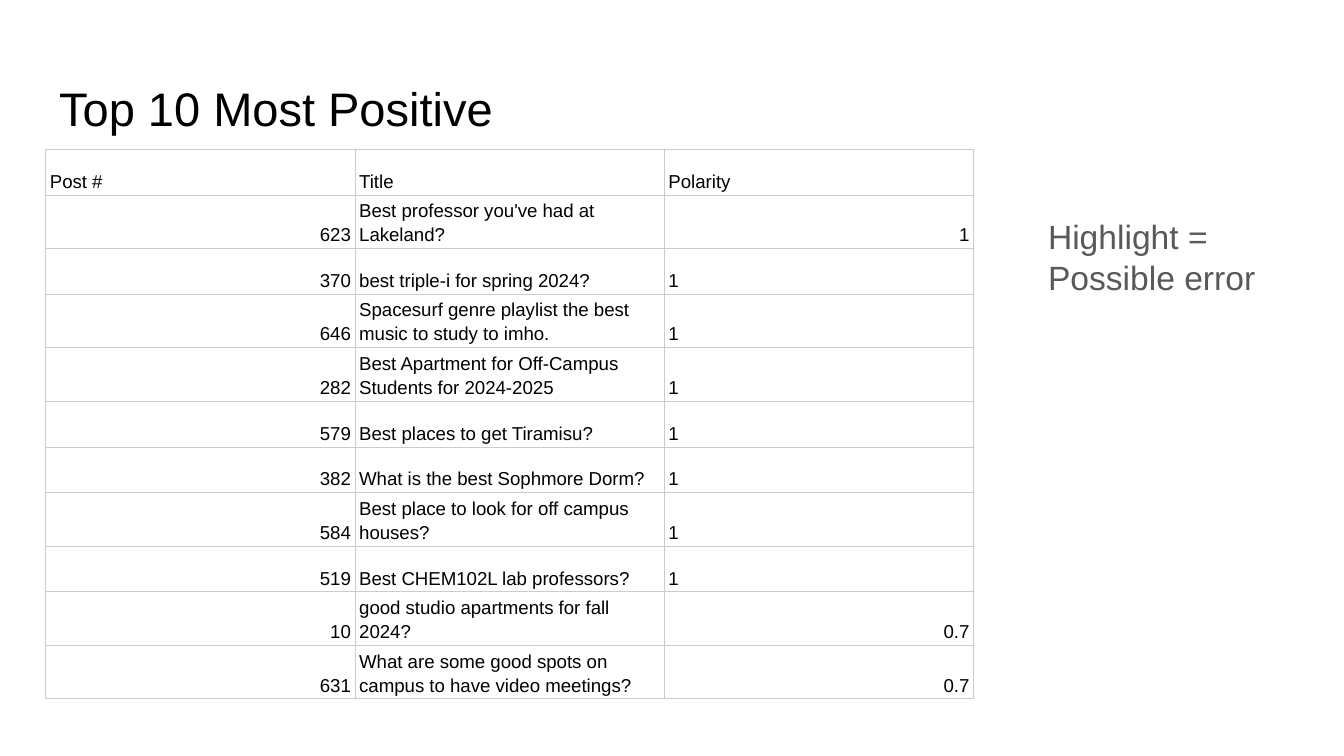
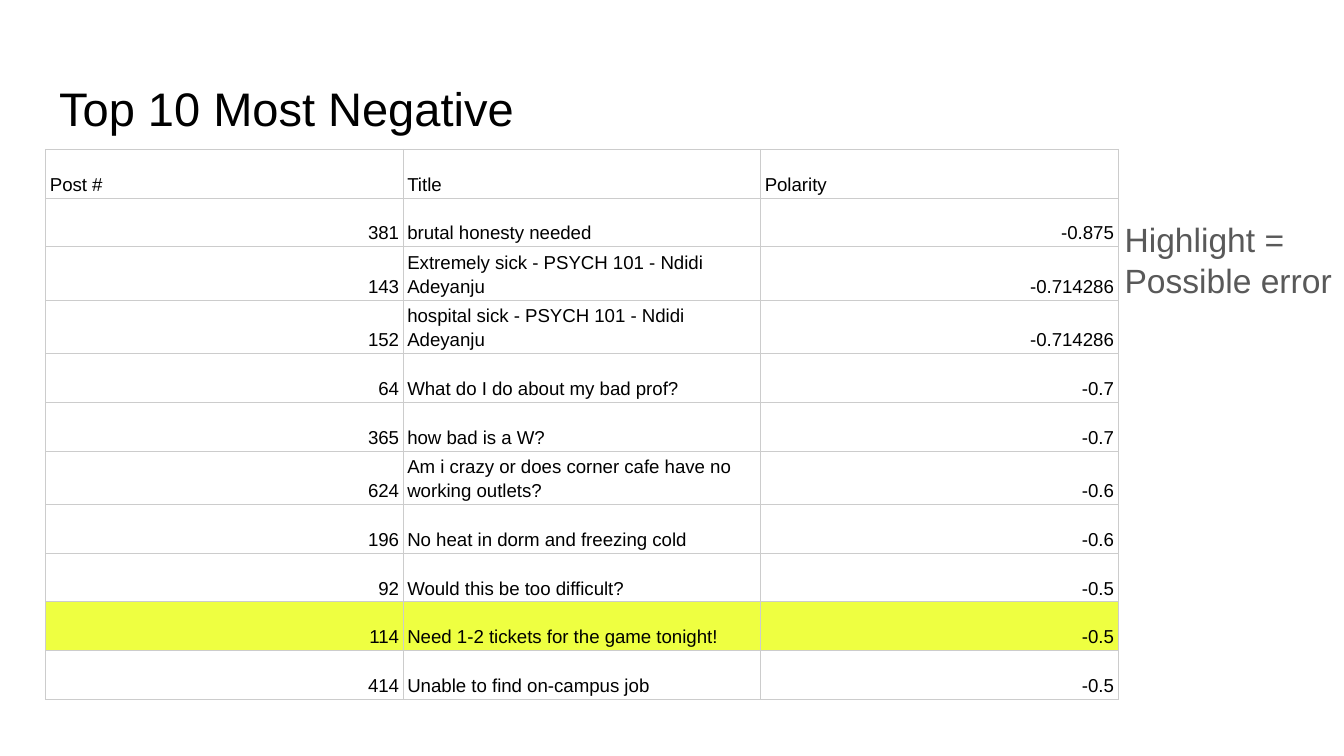
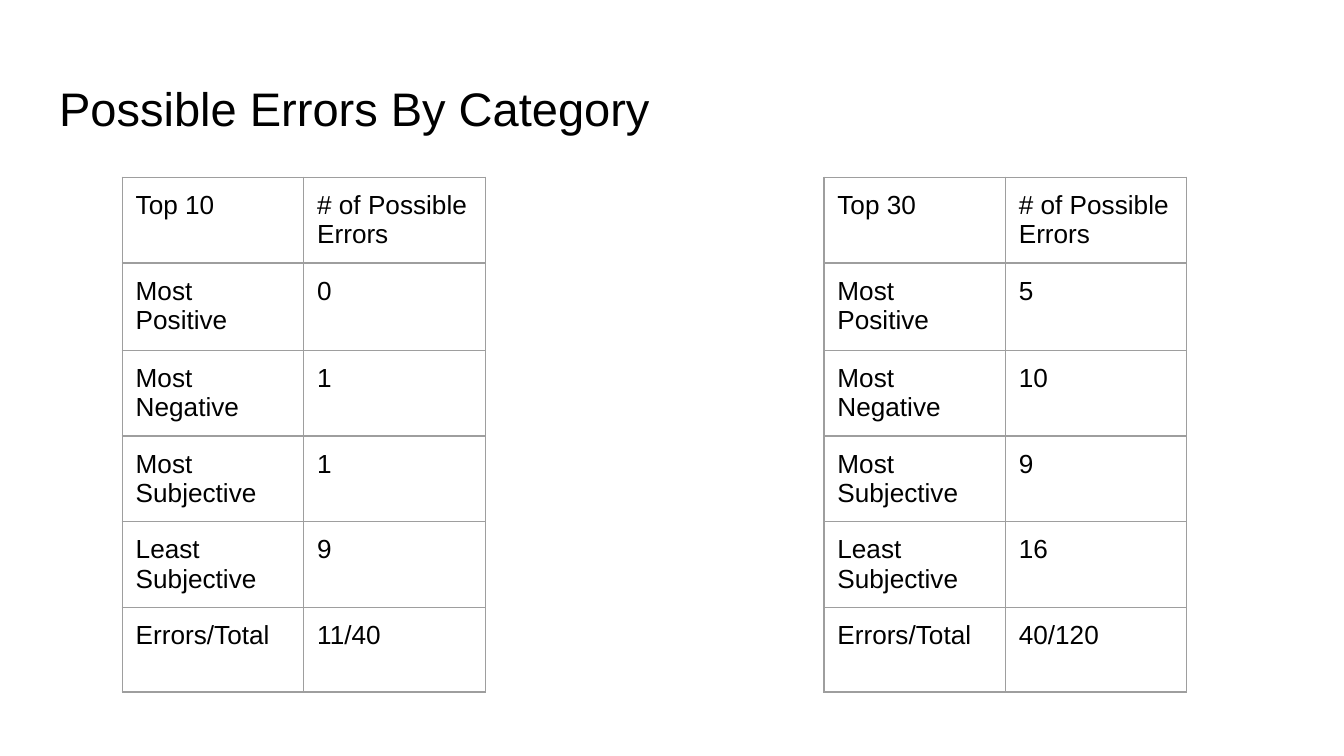
"""Build three slides of post polarity tables and error counts."""
from lxml.etree import SubElement
from pptx import Presentation
from pptx.dml.color import RGBColor
from pptx.enum.text import MSO_ANCHOR, MSO_AUTO_SIZE, PP_ALIGN
from pptx.oxml.ns import qn
from pptx.util import Pt

HUES = {"ink": "000000", "note": "595959", "pale": "CCCCCC",
        "gray": "9E9E9E", "mark": "EEFF41", "white": "FFFFFF"}
FONT = "Arial"
HEAD = ("Post #", "Title", "Polarity")


def write(frame, text, size=14, hue="ink", right=False, lead=None):
    para = frame.paragraphs[0]
    para.alignment = PP_ALIGN.RIGHT if right else PP_ALIGN.LEFT
    if lead:
        para.line_spacing = lead
    run = para.add_run()
    run.text = text
    run.font.name = FONT
    run.font.size = Pt(size)
    run.font.color.rgb = RGBColor.from_string(HUES[hue])


def grid(slide, rows, left, top, wide, highs, hue, line, pads):
    count = len(rows[0])
    table = slide.shapes.add_table(len(rows), count, Pt(left), Pt(top),
                                   Pt(wide * count), Pt(sum(highs))).table
    table.first_row = table.horz_banding = False
    for col in table.columns:
        col.width = Pt(wide)
    for row, high in zip(table.rows, highs):
        row.height = Pt(high)
    for cell in table.iter_cells():
        cell.margin_left = cell.margin_right = Pt(pads[0])
        cell.margin_top = cell.margin_bottom = Pt(pads[1])
        props = cell._tc.get_or_add_tcPr()
        for side in ("lnL", "lnR", "lnT", "lnB"):
            edge = SubElement(props, qn("a:" + side), w=str(int(Pt(line))))
            fill = SubElement(edge, qn("a:solidFill"))
            SubElement(fill, qn("a:srgbClr"), val=HUES[hue])
        cell.fill.background()
    return table


best = [
    ("623", "Best professor you've had at Lakeland?", "1"),
    ("370", "best triple-i for spring 2024?", "1"),
    ("646", "Spacesurf genre playlist the best music to study to imho.", "1"),
    ("282", "Best Apartment for Off-Campus Students for 2024-2025", "1"),
    ("579", "Best places to get Tiramisu?", "1"),
    ("382", "What is the best Sophmore Dorm?", "1"),
    ("584", "Best place to look for off campus houses?", "1"),
    ("519", "Best CHEM102L lab professors?", "1"),
    ("10", "good studio apartments for fall 2024?", "0.7"),
    ("631", "What are some good spots on campus to have video meetings?", "0.7"),
]
worst = [
    ("381", "brutal honesty needed", "-0.875"),
    ("143", "Extremely sick - PSYCH 101 - Ndidi Adeyanju", "-0.714286"),
    ("152", "hospital sick - PSYCH 101 - Ndidi Adeyanju", "-0.714286"),
    ("64", "What do I do about my bad prof?", "-0.7"),
    ("365", "how bad is a W?", "-0.7"),
    ("624", "Am i crazy or does corner cafe have no working outlets?", "-0.6"),
    ("196", "No heat in dorm and freezing cold", "-0.6"),
    ("92", "Would this be too difficult?", "-0.5"),
    ("114", "Need 1-2 tickets for the game tonight!", "-0.5"),
    ("414", "Unable to find on-campus job", "-0.5"),
]
kinds = ("Most Positive", "Most Negative", "Most Subjective",
         "Least Subjective", "Errors/Total")
counts = [("Top 10", 65.5, ("0", "1", "1", "9", "11/40")),
          ("Top 30", 441.4, ("5", "10", "9", "16", "40/120"))]

deck = Presentation()
deck.slide_width, deck.slide_height = Pt(720), Pt(405)
slides = []
for name in ("Top 10 Most Positive", "Top 10 Most Negative",
             "Possible Errors By Category"):
    slide = deck.slides.add_slide(deck.slide_layouts[5])
    title = slide.shapes.title
    title.left, title.top = Pt(24.5), Pt(35.3)
    title.width, title.height = Pt(671), Pt(45)
    frame = title.text_frame
    frame.auto_size = MSO_AUTO_SIZE.NONE
    frame.vertical_anchor = MSO_ANCHOR.MIDDLE
    frame.margin_left = frame.margin_right = Pt(7.2)
    frame.margin_top = frame.margin_bottom = Pt(7.2)
    write(frame, name, size=25.2)
    slides.append(slide)

plans = [(best, 165.7, 24.5, {"white": {(r, 2) for r in range(2, 9)}},
          (554.4, 108.7, 167.8)),
         (worst, 191.5, 26.1, {"mark": {(9, c) for c in range(3)}},
          (595.4, 110.2, 131.8))]
for slide, (posts, wide, high, fills, (left, top, span)) in zip(slides, plans):
    rows = [HEAD] + posts
    table = grid(slide, rows, 24.5, 80, wide, [high] * len(rows),
                 "pale", 0.5, (2.25, 1.5))
    plain = fills.get("white", set())
    for r, row in enumerate(rows):
        for c, text in enumerate(row):
            cell = table.cell(r, c)
            cell.vertical_anchor = MSO_ANCHOR.BOTTOM
            right = r > 0 and c != 1 and (r, c) not in plain
            write(cell.text_frame, text, size=10, right=right, lead=1.15)
            for hue, spots in fills.items():
                if (r, c) in spots:
                    cell.fill.solid()
                    cell.fill.fore_color.rgb = RGBColor.from_string(HUES[hue])
    note = slide.shapes.add_textbox(Pt(left), Pt(top), Pt(span), Pt(58.3))
    frame = note.text_frame
    frame.word_wrap = True
    frame.auto_size = MSO_AUTO_SIZE.SHAPE_TO_FIT_TEXT
    frame.margin_left = frame.margin_right = Pt(7.2)
    frame.margin_top = frame.margin_bottom = Pt(7.2)
    write(frame, "Highlight = Possible error", size=18, hue="note")

for label, left, sums in counts:
    rows = [(label, "# of Possible Errors"), *zip(kinds, sums)]
    table = grid(slides[2], rows, left, 95, 97.2, [45.4, 46.8] + [45.4] * 4,
                 "gray", 0.75, (7.2, 7.2))
    for r, row in enumerate(rows):
        for c, text in enumerate(row):
            write(table.cell(r, c).text_frame, text)

deck.save("out.pptx")
